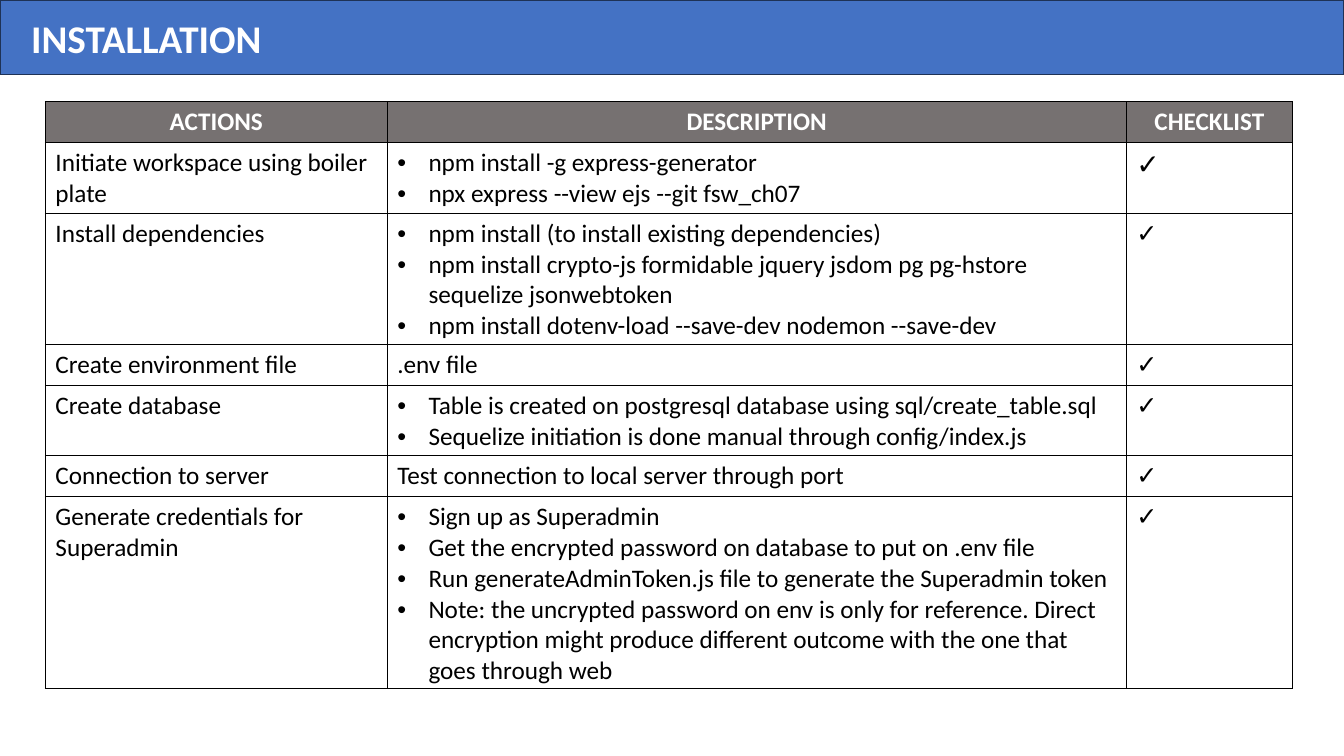
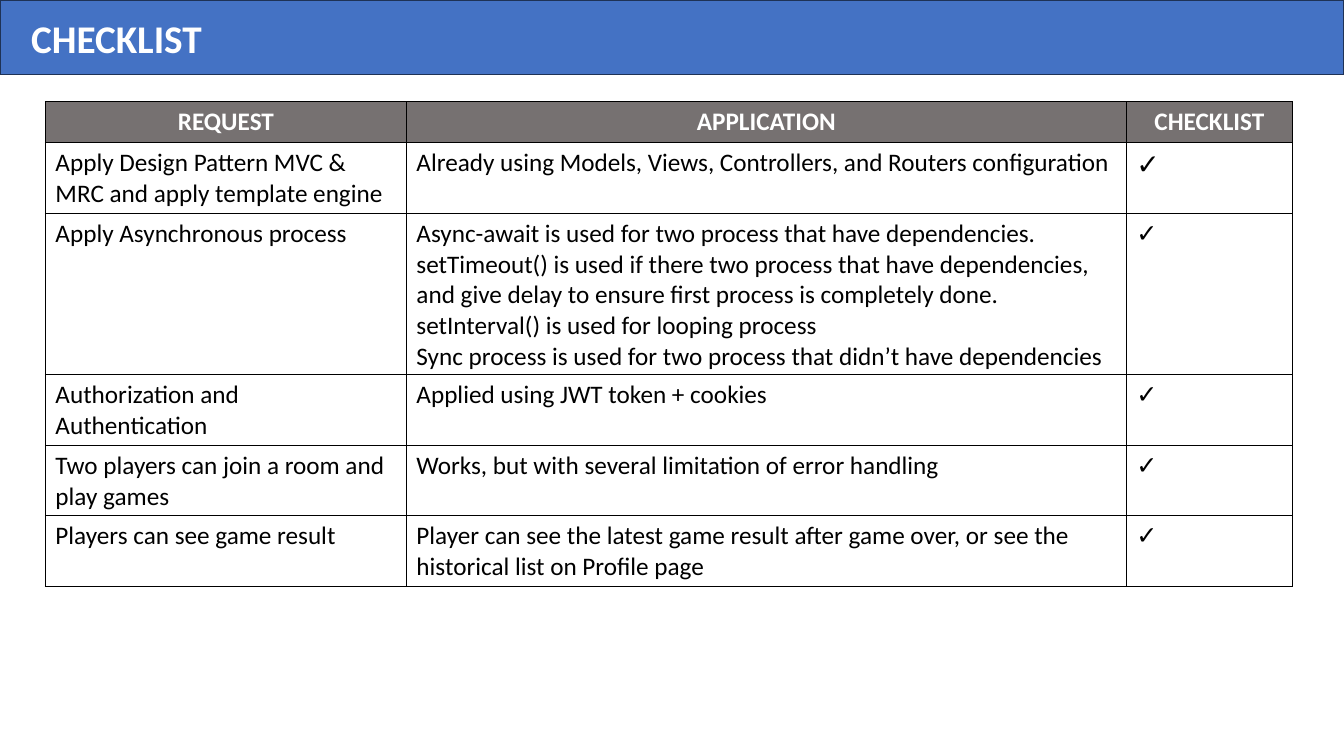
"""Build the installation and checklist slides."""
from lxml import etree
from pptx import Presentation
from pptx import util as u
from pptx.dml.color import RGBColor
from pptx.enum import shapes, text
from pptx.oxml.ns import qn

W, H = u.Inches(13.33), u.Inches(7.5)
COLORS = {"bar": "4472C4", "bar_line": "1E3256", "head": "767171",
          "white": "FFFFFF", "black": "000000"}
FORMATS = {
    "title": {"name": "Calibri", "size": u.Pt(28), "bold": True, "color": "white"},
    "head": {"name": "Calibri", "size": u.Pt(18), "bold": True, "color": "white"},
    "body": {"name": "Calibri", "size": u.Pt(18), "bold": False, "color": "black"},
    "first_tick": {"name": "Calibri", "size": u.Pt(20), "bold": False, "color": "black"},
}
TABLE = {"left": 3.38, "top": 13.47, "width": 92.8, "row": 5.41, "tick": 12.38}
INDENT = u.Inches(0.31)
TICK = "✓"

INSTALLATION = [
    ("Initiate workspace using boiler plate",
     ["npm install -g express-generator",
      "npx express --view ejs --git fsw_ch07"]),
    ("Install dependencies",
     ["npm install (to install existing dependencies)",
      "npm install crypto-js formidable jquery jsdom pg pg-hstore sequelize jsonwebtoken",
      "npm install dotenv-load --save-dev nodemon --save-dev"]),
    ("Create environment file", ".env file"),
    ("Create database",
     ["Table is created on postgresql database using sql/create_table.sql",
      "Sequelize initiation is done manual through config/index.js"]),
    ("Connection to server", "Test connection to local server through port"),
    ("Generate credentials for Superadmin",
     ["Sign up as Superadmin",
      "Get the encrypted password on database to put on .env file",
      "Run generateAdminToken.js file to generate the Superadmin token",
      "Note: the uncrypted password on env is only for reference. Direct encryption "
      "might produce different outcome with the one that goes through web"]),
]
CHECKLIST = [
    ("Apply Design Pattern MVC & MRC and apply template engine",
     "Already using Models, Views, Controllers, and Routers configuration"),
    ("Apply Asynchronous process",
     "Async-await is used for two process that have dependencies.\n"
     "setTimeout() is used if there two process that have dependencies, "
     "and give delay to ensure first process is completely done.\n"
     "setInterval() is used for looping process\n"
     "Sync process is used for two process that didn’t have dependencies"),
    ("Authorization and Authentication", "Applied using JWT token + cookies"),
    ("Two players can join a room and play games",
     "Works, but with several limitation of error handling"),
    ("Players can see game result",
     "Player can see the latest game result after game over, "
     "or see the historical list on Profile page"),
]


def wide(pct):
    """Return a percentage of the slide width."""
    return int(W * pct / 100)


def high(pct):
    """Return a percentage of the slide height."""
    return int(H * pct / 100)


def rgb(key):
    """Return a palette colour."""
    return RGBColor.from_string(COLORS[key])


def add_bullet(p):
    """Give a paragraph a hanging round bullet."""
    pPr = p._p.get_or_add_pPr()
    pPr.set("marL", str(INDENT))
    pPr.set("indent", str(-INDENT))
    etree.SubElement(pPr, qn("a:buFont")).set("typeface", "Arial")
    etree.SubElement(pPr, qn("a:buChar")).set("char", "•")


def write(tf, content, style, align=text.PP_ALIGN.LEFT):
    """Write a string as plain paragraphs, or a list as bullets."""
    bulleted = isinstance(content, list)
    for i, line in enumerate(content if bulleted else content.split("\n")):
        p = tf.add_paragraph() if i else tf.paragraphs[0]
        p.alignment = align
        if bulleted:
            add_bullet(p)
        r = p.add_run()
        r.text = line
        for key, value in FORMATS[style].items():
            if key == "color":
                r.font.color.rgb = rgb(value)
            else:
                setattr(r.font, key, value)


def add_borders(cell):
    """Draw a thin black line on each side of a cell."""
    tcPr = cell._tc.get_or_add_tcPr()
    for side in "LRTB":
        ln = etree.SubElement(tcPr, qn(f"a:ln{side}"), w=str(u.Pt(1)))
        fill = etree.SubElement(ln, qn("a:solidFill"))
        etree.SubElement(fill, qn("a:srgbClr")).set("val", COLORS["black"])


def add_title(s, title, width):
    """Add the top bar and its title."""
    sp = s.shapes.add_shape(shapes.MSO_SHAPE.RECTANGLE, 0, 0, W, high(9.87))
    sp.shadow.inherit = False
    sp.fill.solid()
    sp.fill.fore_color.rgb = rgb("bar")
    sp.line.color.rgb = rgb("bar_line")
    sp.line.width = u.Pt(1)
    tf = s.shapes.add_textbox(wide(1.58), high(1.2), wide(width), high(7.6)).text_frame
    tf.word_wrap = False
    tf.auto_size = text.MSO_AUTO_SIZE.SHAPE_TO_FIT_TEXT
    write(tf, title, "title")


def add_table(s, heads, items, first_col):
    """Add a three-column table whose last column holds ticks."""
    rows = [heads] + [(*item, TICK) for item in items]
    table = s.shapes.add_table(
        len(rows), len(heads), wide(TABLE["left"]), high(TABLE["top"]),
        wide(TABLE["width"]), high(TABLE["row"]) * len(rows)).table
    table.horz_banding = False
    widths = (first_col, TABLE["width"] - first_col - TABLE["tick"], TABLE["tick"])
    for col, width in zip(table.columns, widths):
        col.width = wide(width)
    for i, row in enumerate(rows):
        table.rows[i].height = high(TABLE["row"])
        for j, content in enumerate(row):
            cell = table.cell(i, j)
            add_borders(cell)
            if i == 0:
                cell.fill.solid()
                cell.fill.fore_color.rgb = rgb("head")
                write(cell.text_frame, content, "head", text.PP_ALIGN.CENTER)
            else:
                cell.fill.background()
                style = "first_tick" if (i, j) == (1, 2) else "body"
                write(cell.text_frame, content, style)


def main():
    """Build and save the slides."""
    prs = Presentation()
    prs.slide_width, prs.slide_height = W, H
    pages = [
        ("INSTALLATION", 18.9, ("ACTIONS", "DESCRIPTION", "CHECKLIST"), INSTALLATION, 25.43),
        ("CHECKLIST", 14.4, ("REQUEST", "APPLICATION", "CHECKLIST"), CHECKLIST, 26.86),
    ]
    for title, title_width, heads, items, first_col in pages:
        s = prs.slides.add_slide(prs.slide_layouts[6])
        add_title(s, title, title_width)
        add_table(s, heads, items, first_col)
    prs.save("out.pptx")


if __name__ == "__main__":
    main()
